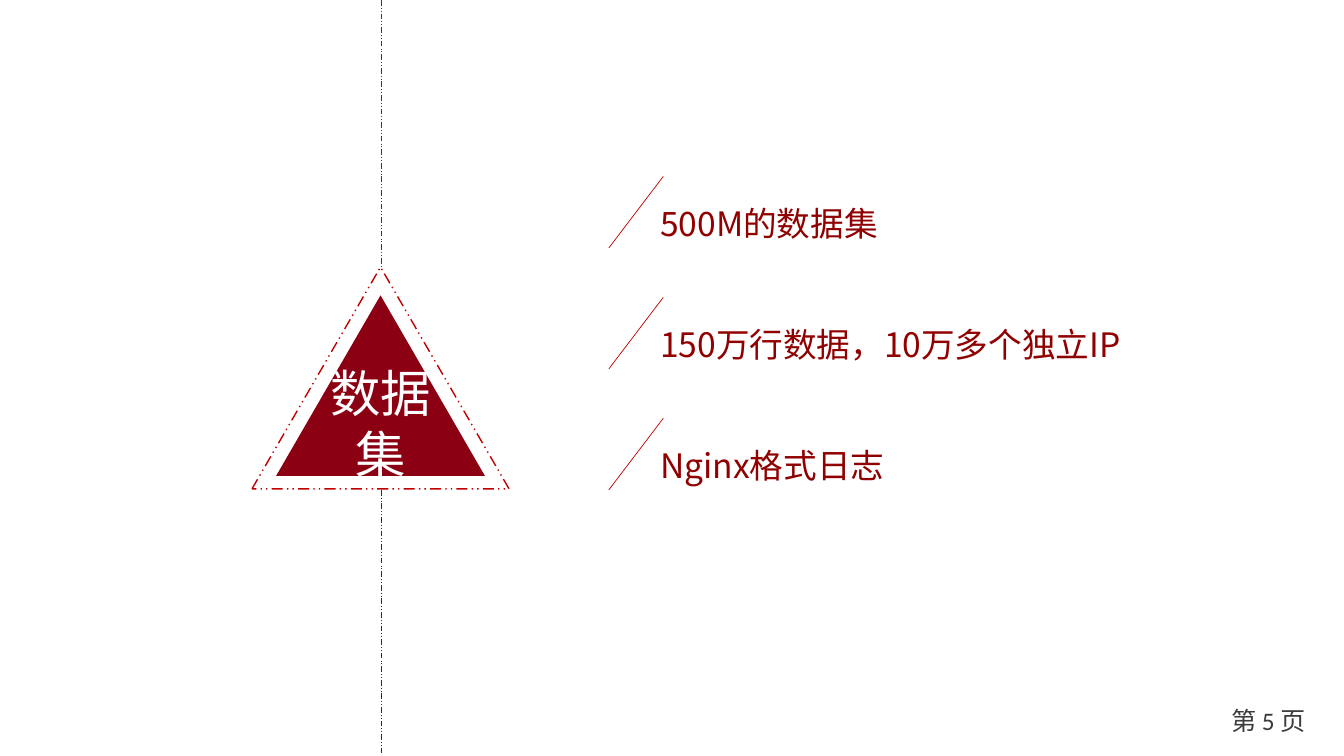
from dataclasses import dataclass

from pptx import Presentation
from pptx.dml.color import RGBColor
from pptx.enum.dml import MSO_LINE
from pptx.enum.shapes import MSO_CONNECTOR, MSO_SHAPE
from pptx.enum.text import MSO_ANCHOR, PP_ALIGN
from pptx.oxml.ns import qn
from pptx.util import Inches, Pt

TRIANGLE = MSO_SHAPE.ISOSCELES_TRIANGLE
STRAIGHT = MSO_CONNECTOR.STRAIGHT
DASH_DOT_DOT = MSO_LINE.DASH_DOT_DOT
LEFT, CENTER, RIGHT = PP_ALIGN.LEFT, PP_ALIGN.CENTER, PP_ALIGN.RIGHT
TOP, MIDDLE = MSO_ANCHOR.TOP, MSO_ANCHOR.MIDDLE

CELL = 0.1  # side of one grid square, in inches
SLIDE_COLUMNS, SLIDE_ROWS = 133.33, 75
AXIS_COLUMN = 37.8
FIRST_ITEM_ROW, ITEM_STEP = 17.5, 12
RED, DARK_RED, TEXT_RED = "C00000", "8B0012", "900000"
WHITE, GREY = "FFFFFF", "3C3C3C"
CJK_FONT, LATIN_FONT = "Noto Sans CJK SC", "Calibri"


@dataclass(frozen=True)
class Area:
    column: float
    row: float
    columns: float
    rows: float

    def lengths(self) -> list[int]:
        return [grid(n) for n in (self.column, self.row, self.columns, self.rows)]


@dataclass(frozen=True)
class TextStyle:
    size: int
    color: str
    font: str
    alignment: PP_ALIGN
    anchor: MSO_ANCHOR


@dataclass(frozen=True)
class Stroke:
    start: tuple[float, float]
    end: tuple[float, float]
    color: str = RED
    dash: MSO_LINE | None = None


ITEM_STYLE = TextStyle(24, TEXT_RED, CJK_FONT, LEFT, TOP)
TITLE_STYLE = TextStyle(36, WHITE, CJK_FONT, CENTER, MIDDLE)
PAGE_STYLE = TextStyle(18, GREY, LATIN_FONT, RIGHT, MIDDLE)

ITEMS = ["500M的数据集", "150万行数据，10万多个独立IP", "Nginx格式日志"]
AXIS = [
    Stroke((AXIS_COLUMN, 0), (AXIS_COLUMN, 26.5), RED, DASH_DOT_DOT),
    Stroke((AXIS_COLUMN, 48.6), (AXIS_COLUMN, SLIDE_ROWS), DARK_RED, DASH_DOT_DOT),
]


def grid(cells: float) -> int:
    return Inches(cells * CELL)


def rgb(color: str) -> RGBColor:
    return RGBColor.from_string(color)


def write(shape, text: str, style: TextStyle) -> None:
    frame = shape.text_frame
    frame.word_wrap = True
    frame.vertical_anchor = style.anchor
    para = frame.paragraphs[0]
    para.alignment = style.alignment
    span = para.add_run()
    span.text = text
    for name, value in {"size": Pt(style.size), "name": style.font}.items():
        setattr(span.font, name, value)
    span.font.color.rgb = rgb(style.color)
    east_asian = span.font._element.makeelement(qn("a:ea"), {"typeface": CJK_FONT})
    span.font._element.append(east_asian)


def add_text(page, area: Area, text: str, style: TextStyle) -> None:
    write(page.shapes.add_textbox(*area.lengths()), text, style)


def set_line(line, color: str, width: float, dash: MSO_LINE | None) -> None:
    line.color.rgb = rgb(color)
    line.width = Pt(width)
    if dash is not None:
        line.dash_style = dash


def add_stroke(page, stroke: Stroke) -> None:
    ends = [grid(n) for n in (*stroke.start, *stroke.end)]
    connector = page.shapes.add_connector(STRAIGHT, *ends)
    set_line(connector.line, stroke.color, 0.5, stroke.dash)
    properties = connector._element.spPr
    properties.append(properties.makeelement(qn("a:effectLst"), {}))


def add_triangle(page, area: Area):
    triangle = page.shapes.add_shape(TRIANGLE, *area.lengths())
    triangle.shadow.inherit = False
    return triangle


def add_emblem(page) -> None:
    """Draw the titled triangle and its dashed outline."""
    core = add_triangle(page, Area(27.4, 29.3, 20.7, 17.9))
    core.fill.solid()
    core.fill.fore_color.rgb = rgb(DARK_RED)
    core.line.fill.background()
    margins = {"margin_left": 0, "margin_top": 0, "margin_right": 0, "margin_bottom": grid(1.6)}
    for name, value in margins.items():
        setattr(core.text_frame, name, value)
    write(core, "数据集", TITLE_STYLE)

    outline = add_triangle(page, Area(25, 26.5, 25.5, 22))
    outline.fill.background()
    set_line(outline.line, RED, 1, DASH_DOT_DOT)


def add_item(page, row: float, text: str) -> None:
    add_text(page, Area(64.5, row + 2.1, 50.9, 5), text, ITEM_STYLE)
    add_stroke(page, Stroke((65.8, row), (60.4, row + 7.1)))


def main() -> None:
    deck = Presentation()
    deck.slide_width, deck.slide_height = grid(SLIDE_COLUMNS), grid(SLIDE_ROWS)
    page = deck.slides.add_slide(deck.slide_layouts[6])
    add_emblem(page)
    for stroke in AXIS:
        add_stroke(page, stroke)
    for index, text in enumerate(ITEMS):
        add_item(page, FIRST_ITEM_ROW + index * ITEM_STEP, text)
    add_text(page, Area(114.8, 69.5, 15.7, 4), "第 5 页", PAGE_STYLE)
    deck.save("out.pptx")


if __name__ == "__main__":
    main()
